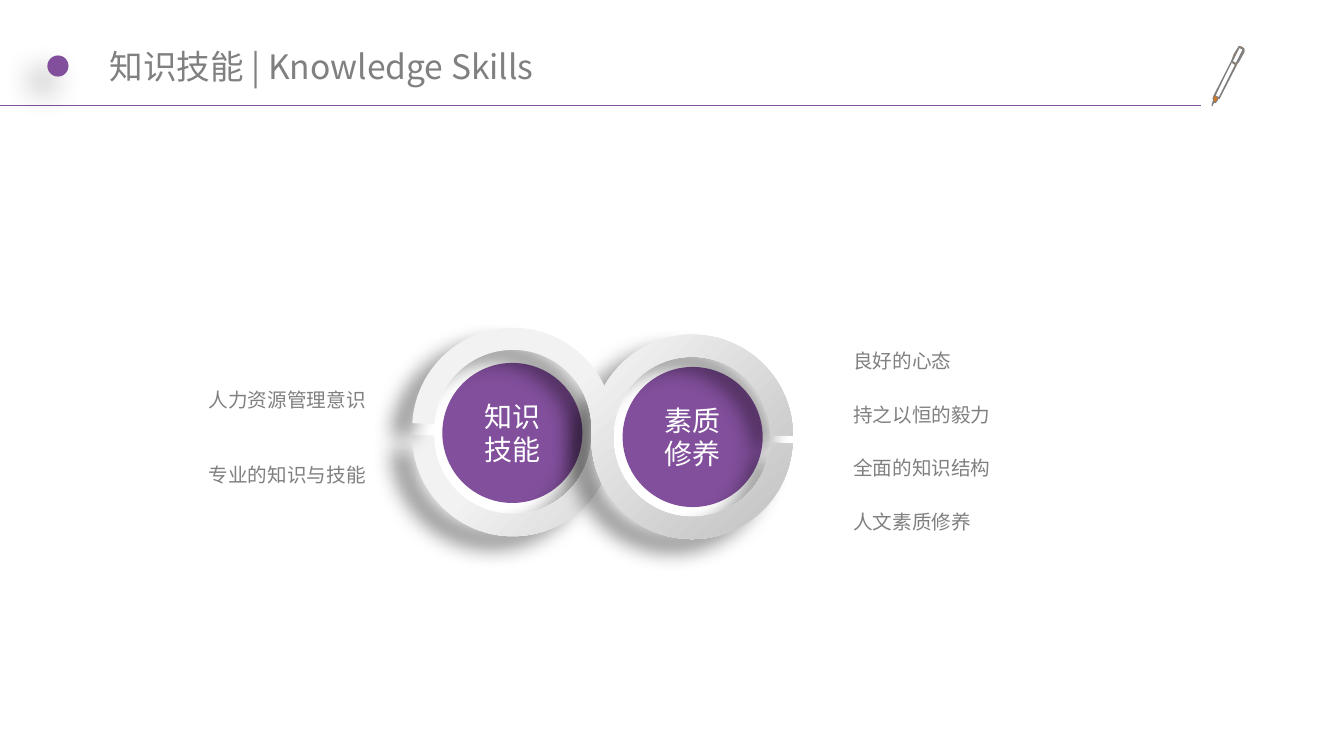
"""Build the knowledge and skills slide with two interlocking rings."""
import math
from typing import NamedTuple

from lxml import etree
from pptx import Presentation
from pptx.dml.color import RGBColor
from pptx.enum.shapes import MSO_CONNECTOR, MSO_SHAPE
from pptx.enum.text import MSO_ANCHOR, MSO_AUTO_SIZE, PP_ALIGN
from pptx.oxml.ns import qn
from pptx.util import Inches, Pt

OVAL = MSO_SHAPE.OVAL
STRAIGHT = MSO_CONNECTOR.STRAIGHT
MIDDLE = MSO_ANCHOR.MIDDLE
FIT_SHAPE = MSO_AUTO_SIZE.SHAPE_TO_FIT_TEXT
LEFT, CENTER, RIGHT = PP_ALIGN.LEFT, PP_ALIGN.CENTER, PP_ALIGN.RIGHT

COLORS = {
    "purple": "824F9C", "grey": "808080", "white": "FFFFFF", "black": "000000",
    "orange": "DA751A", "ring_light": "F2F2F2", "ring_dark": "BFBFBF",
}
BODY_FONT = "Arial Narrow"
TITLE_FONT = "Noto Sans CJK SC"

RING_CENTERS = (5.09, 6.87)
OUTER_RADIUS, INNER_RADIUS = 1.0, 0.78
QUARTER_HANDLE = 4 / 3 * math.tan(math.pi / 8)
ARC_POINTS = 7

Point = tuple[float, float]


class Shadow(NamedTuple):
    blur: float
    distance: float
    direction: float


class Disc(NamedTuple):
    left: float
    top: float
    size: float
    text: str = ""
    shadow: Shadow | None = None


class Ribbon(NamedTuple):
    center_y: float
    side: int
    rotation: float


class LabelColumn(NamedTuple):
    left: float
    top: float
    pitch: float
    alignment: PP_ALIGN
    texts: tuple[str, ...]


RIBBON_SHADOW = Shadow(14, 18, 147)
DISCS = (
    Disc(0.47, 0.55, 0.21, shadow=Shadow(22, 15, 135)),
    Disc(4.39, 3.6, 1.39, "知识技能"),
    Disc(6.18, 3.64, 1.39, "素质修养"),
)
RIBBONS = (Ribbon(4.32, 1, 0), Ribbon(4.3, -1, 3.1))
LABEL_COLUMNS = (
    LabelColumn(1.95, 3.8, 0.74, RIGHT, ("人力资源管理意识", "专业的知识与技能")),
    LabelColumn(8.37, 3.41, 1.6 / 3, LEFT,
                ("良好的心态", "持之以恒的毅力", "全面的知识结构", "人文素质修养")),
)
PEN_CONTOURS = (
    ((12.35, 0.49), (12.33, 0.47), (12.3, 0.46), (12.25, 0.54), (12.22, 0.62),
     (12.05, 0.95), (12.04, 0.98), (12.05, 0.99), (12.04, 1.01), (12.03, 1.05),
     (12.05, 1.01), (12.06, 1.02), (12.08, 1.0), (12.09, 0.97), (12.1, 0.98),
     (12.27, 0.65), (12.33, 0.52), (12.34, 0.52), (12.29, 0.61), (12.29, 0.62),
     (12.35, 0.51), (12.34, 0.5)),
    ((12.26, 0.65), (12.1, 0.97), (12.06, 0.95), (12.16, 0.74), (12.22, 0.62),
     (12.23, 0.62), (12.26, 0.64)),
    ((12.27, 0.63), (12.23, 0.61), (12.3, 0.47), (12.34, 0.49)),
)


def color(name: str) -> RGBColor:
    return RGBColor.from_string(COLORS[name])


def add_shadow(shape, shadow: Shadow) -> None:
    effects = shape._element.spPr.find(qn("a:effectLst"))
    outer = etree.SubElement(
        effects, qn("a:outerShdw"), blurRad=str(Pt(shadow.blur)),
        dist=str(Pt(shadow.distance)), dir=str(round(shadow.direction * 60000)),
        algn="tr", rotWithShape="0")
    tint = etree.SubElement(outer, qn("a:srgbClr"), val=COLORS["black"])
    etree.SubElement(tint, qn("a:alpha"), val="40000")


def write_text(text_frame, text: str, font: str, size: float, color_name: str,
               alignment: PP_ALIGN) -> None:
    text_frame.text = text
    paragraph = text_frame.paragraphs[0]
    paragraph.alignment = alignment
    for run in paragraph.runs:
        run.font.name = font
        run.font.size = Pt(size)
        run.font.color.rgb = color(color_name)


def add_disc(slide, disc: Disc) -> None:
    shape = slide.shapes.add_shape(OVAL, Inches(disc.left), Inches(disc.top),
                                   Inches(disc.size), Inches(disc.size))
    shape.shadow.inherit = False
    shape.fill.solid()
    shape.fill.fore_color.rgb = color("purple")
    shape.line.fill.background()
    if disc.shadow:
        add_shadow(shape, disc.shadow)
    if disc.text:
        shape.text_frame.word_wrap = True
        shape.text_frame.vertical_anchor = MIDDLE
        write_text(shape.text_frame, disc.text, BODY_FONT, 20, "white", CENTER)


def add_outline(slide, contours):
    scaled = [[(Inches(x), Inches(y)) for x, y in contour] for contour in contours]
    builder = slide.shapes.build_freeform(*scaled[0][0])
    for index, contour in enumerate(scaled):
        if index:
            builder.move_to(*contour[0])
        builder.add_line_segments(contour[1:], close=True)
    shape = builder.convert_to_shape()
    shape.shadow.inherit = False
    return shape


def half_circle(center: Point, radius: float, start: int, turn: int) -> list[Point]:
    """Return two Bezier quarters: a start point, then handle, handle, end for each."""
    def place(along: float, across: float, degrees: int) -> Point:
        cosine, sine = math.cos(math.radians(degrees)), math.sin(math.radians(degrees))
        return (center[0] + radius * (along * cosine - turn * across * sine),
                center[1] + radius * (along * sine + turn * across * cosine))

    points = [place(1, 0, start)]
    for degrees in (start, start + 90 * turn):
        points += [place(1, QUARTER_HANDLE, degrees), place(QUARTER_HANDLE, 1, degrees),
                   place(0, 1, degrees)]
    return points


def curve_arcs(shape) -> None:
    outline = next(shape._element.iter(qn("a:path")))
    segments = outline.findall(qn("a:lnTo"))
    for first in range(0, len(segments), ARC_POINTS):
        for start in (first, first + 3):
            curve = etree.Element(qn("a:cubicBezTo"))
            segments[start].addprevious(curve)
            for segment in segments[start:start + 3]:
                curve.append(segment[0])
                outline.remove(segment)


def add_ribbon(slide, ribbon: Ribbon) -> None:
    left, right = ((x, ribbon.center_y) for x in RING_CENTERS)
    side = ribbon.side
    points = (half_circle(right, OUTER_RADIUS, 0, -side)
              + half_circle(left, INNER_RADIUS, 0, side)
              + half_circle(left, OUTER_RADIUS, 180, -side)
              + half_circle(right, INNER_RADIUS, 180, side))
    shape = add_outline(slide, [points])
    curve_arcs(shape)
    shape.rotation = ribbon.rotation
    shape.line.fill.background()
    shape.fill.gradient()
    shape.fill.gradient_angle = 315
    stops = ((0.36, "ring_light"), (1, "ring_dark"))
    for stop, (position, name) in zip(shape.fill.gradient_stops, stops):
        stop.position = position
        stop.color.rgb = color(name)
    add_shadow(shape, RIBBON_SHADOW)


def add_pen(slide) -> None:
    shape = add_outline(slide, PEN_CONTOURS)
    shape.fill.solid()
    shape.fill.fore_color.rgb = color("orange")
    shape.line.color.rgb = color("grey")
    shape.line.width = Pt(0.75)


def add_header_rule(slide) -> None:
    rule = slide.shapes.add_connector(STRAIGHT, 0, Inches(1.05), Inches(11.92), Inches(1.05))
    rule.line.color.rgb = color("purple")
    rule.line.width = Pt(0.75)
    etree.SubElement(rule._element.spPr, qn("a:effectLst"))


def add_label_column(slide, column: LabelColumn) -> None:
    for row, text in enumerate(column.texts):
        box = slide.shapes.add_textbox(Inches(column.left),
                                       Inches(column.top + row * column.pitch),
                                       Inches(0.2 * len(text) + 0.18), Inches(0.34))
        box.text_frame.word_wrap = False
        box.text_frame.auto_size = FIT_SHAPE
        write_text(box.text_frame, text, BODY_FONT, 14, "grey", column.alignment)


def add_title(slide) -> None:
    box = slide.shapes.add_textbox(Inches(1.02), Inches(0.19), Inches(10.92), Inches(0.94))
    frame = box.text_frame
    frame.word_wrap = True
    frame.vertical_anchor = MIDDLE
    frame.margin_left = frame.margin_right = Inches(0.07)
    frame.margin_top = frame.margin_bottom = Inches(0.04)
    write_text(frame, "知识技能 | Knowledge Skills", TITLE_FONT, 24, "grey", LEFT)


def main() -> None:
    presentation = Presentation()
    presentation.slide_width, presentation.slide_height = Inches(13.34), Inches(7.5)
    slide = presentation.slides.add_slide(presentation.slide_layouts[6])
    add_header_rule(slide)
    add_pen(slide)
    for disc in DISCS:
        add_disc(slide, disc)
    for ribbon in RIBBONS:
        add_ribbon(slide, ribbon)
    for column in LABEL_COLUMNS:
        add_label_column(slide, column)
    add_title(slide)
    presentation.save("out.pptx")


if __name__ == "__main__":
    main()
